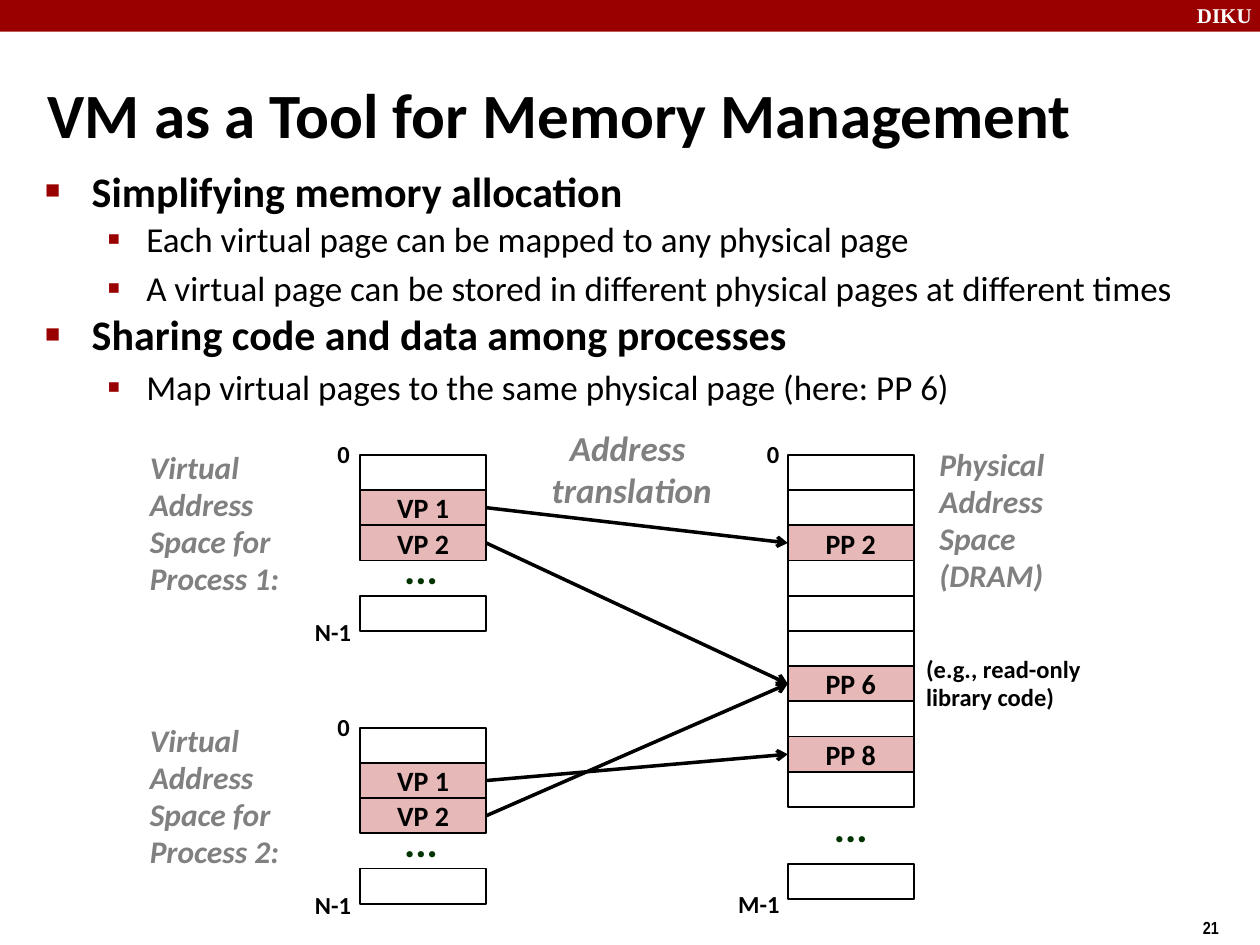
from lxml import etree
from pptx import Presentation, util as u
from pptx.dml.color import RGBColor
from pptx.enum import shapes, text
from pptx.oxml import ns

COLOURS = {"red": "990000", "pink": "E6B9B8", "black": "000000",
           "grey": "808080", "green": "003300", "white": "FFFFFF"}
ROW, CELL_WIDTH = 0.71, 2.54
TOP = 9.17
VIRTUAL_LEFT, PHYSICAL_LEFT = 7.26, 15.88

deck = Presentation()
deck.slide_width, deck.slide_height = u.Cm(25.4), u.Cm(19.05)
page = deck.slides.add_slide(deck.slide_layouts[6])


def add_text(place, lines, size, colour="black", face="Calibri", bold=True, italic=False,
             wrap=False, align=text.PP_ALIGN.LEFT, spacing=None):
    box = page.shapes.add_textbox(*(u.Cm(length) for length in place))
    frame = box.text_frame
    frame.word_wrap = wrap
    for number, line in enumerate(lines):
        para = frame.add_paragraph() if number else frame.paragraphs[0]
        para.alignment = align
        if spacing:
            para.line_spacing = spacing
        span = para.add_run()
        span.text = line
        span.font.name, span.font.size = face, u.Pt(size)
        span.font.bold, span.font.italic = bold, italic
        span.font.color.rgb = RGBColor.from_string(COLOURS[colour])
    return box


def add_cell(left, top, label=""):
    """Draw one memory page; a labelled page is filled."""
    cell = page.shapes.add_shape(shapes.MSO_SHAPE.RECTANGLE, u.Cm(left), u.Cm(top),
                                 u.Cm(CELL_WIDTH), u.Cm(ROW))
    cell.shadow.inherit = False
    cell.line.color.rgb = RGBColor.from_string(COLOURS["black"])
    cell.line.width = u.Pt(1)
    if not label:
        cell.fill.background()
        return cell
    cell.fill.solid()
    cell.fill.fore_color.rgb = RGBColor.from_string(COLOURS["pink"])
    cell.text_frame.vertical_anchor = text.MSO_ANCHOR.MIDDLE
    para = cell.text_frame.paragraphs[0]
    para.alignment = text.PP_ALIGN.CENTER
    span = para.add_run()
    span.text = label
    span.font.name, span.font.size, span.font.bold = "Calibri", u.Pt(16), True
    span.font.color.rgb = RGBColor.from_string(COLOURS["black"])
    return cell


# Header bar, page number and title
bar = page.shapes.add_shape(shapes.MSO_SHAPE.RECTANGLE, 0, 0, deck.slide_width, u.Cm(0.64))
bar.shadow.inherit = False
bar.fill.solid()
bar.fill.fore_color.rgb = RGBColor.from_string(COLOURS["red"])
bar.line.fill.background()
add_text((23.88, -0.08, 1.7, 0.76), ["DIKU"], 12, "white", "Times New Roman", wrap=True)
add_text((24, 18.36, 1.91, 0.74), ["21"], 10, face="Arial Narrow")
title = add_text((0.71, 1.49, 23.93, 1.6), ["VM as a Tool for Memory Management"], 36, wrap=True)
title.text_frame.vertical_anchor = text.MSO_ANCHOR.MIDDLE

# Bullets: level, line spacing, wording
points = [
    (0, 0.83, "Simplifying memory allocation"),
    (1, 0.88, "Each virtual page can be mapped to any physical page"),
    (1, 1.0, "A virtual page can be stored in different physical pages at different times"),
    (0, 0.83, "Sharing code and data among processes"),
    (1, 1.0, "Map virtual pages to the same physical page (here: PP 6)"),
]
# By level: margin, indent, space before, bullet, bullet percent, text size
levels = [(0.96, -0.94, 4.8, "■", 60, 24), (2.06, -0.79, 4, "▪", 110, 20)]
body = add_text((0.64, 3.38, 24.33, 5.28), [wording for _, _, wording in points], 24, wrap=True)
for number, (para, (level, spacing, _)) in enumerate(zip(body.text_frame.paragraphs, points)):
    margin, indent, before, bullet, percent, size = levels[level]
    properties = para._p.get_or_add_pPr()
    properties.set("marL", str(u.Cm(margin)))
    properties.set("indent", str(u.Cm(indent)))
    colour = etree.SubElement(properties, ns.qn("a:buClr"))
    etree.SubElement(colour, ns.qn("a:srgbClr"), val=COLOURS["red"])
    etree.SubElement(properties, ns.qn("a:buSzPct"), val=str(percent * 1000))
    etree.SubElement(properties, ns.qn("a:buFont"), typeface="Times New Roman")
    etree.SubElement(properties, ns.qn("a:buChar"), char=bullet)
    para.level = level
    para.line_spacing = spacing
    if number:
        para.space_before = u.Pt(before)
    para.runs[0].font.size = u.Pt(size)
    para.runs[0].font.bold = level == 0

# Virtual address spaces
virtual_pages = {}
for process in (1, 2):
    top = TOP + (process - 1) * 5.5
    add_text((2.77, top - 0.23, 3.81, 3.25), [f"Virtual Address Space for Process {process}:"],
             18, "grey", italic=True, wrap=True, spacing=0.98)
    add_text((6.55, top - 0.42, 0.76, 0.84), ["0"], 14, spacing=0.98)
    add_text((6.1, top + 3.18, 1.24, 0.84), ["N-1"], 14, spacing=0.98)
    for row, label in ((0, ""), (1, "VP 1"), (2, "VP 2"), (4, "")):
        virtual_pages[process, label] = add_cell(VIRTUAL_LEFT, top + row * ROW, label)
    add_text((7.9, top + 1.78, 1.5, 1.27), ["..."], 24, "green", spacing=0.88)

# Physical address space
physical_pages = {}
for row in range(10):
    label = f"PP {row}" if row in (2, 6, 8) else ""
    physical_pages[row] = add_cell(PHYSICAL_LEFT, TOP + row * ROW, label)
add_cell(PHYSICAL_LEFT, 17.42)
add_text((16.56, 16.15, 1.5, 1.27), ["..."], 24, "green", spacing=0.88)
add_text((15.21, 8.75, 0.76, 0.84), ["0"], 14, spacing=0.98)
add_text((14.63, 17.83, 1.35, 0.84), ["M-1"], 14, spacing=0.98)
add_text((18.69, 8.89, 2.97, 3.25), ["Physical", "Address", "Space (DRAM)"],
         18, "grey", italic=True, wrap=True, spacing=0.98)
add_text((18.42, 13.08, 4.01, 1.42), ["(e.g., read-only", "library code)"],
         14, wrap=True, spacing=0.98)

# Address translation arrows
for process, virtual, physical in ((1, "VP 1", 2), (1, "VP 2", 6), (2, "VP 2", 6), (2, "VP 1", 8)):
    arrow = page.shapes.add_connector(shapes.MSO_CONNECTOR.STRAIGHT, 0, 0, 0, 0)
    arrow.begin_connect(virtual_pages[process, virtual], 3)
    arrow.end_connect(physical_pages[physical], 1)
    arrow.line.color.rgb = RGBColor.from_string(COLOURS["black"])
    arrow.line.width = u.Pt(2)
    etree.SubElement(arrow.line._get_or_add_ln(), ns.qn("a:tailEnd"), type="arrow")
    etree.SubElement(arrow._element.spPr, ns.qn("a:effectLst"))
add_text((10.87, 8.48, 3.73, 1.96), ["Address ", "translation"], 20, "grey",
         italic=True, align=text.PP_ALIGN.CENTER)

deck.save("out.pptx")
